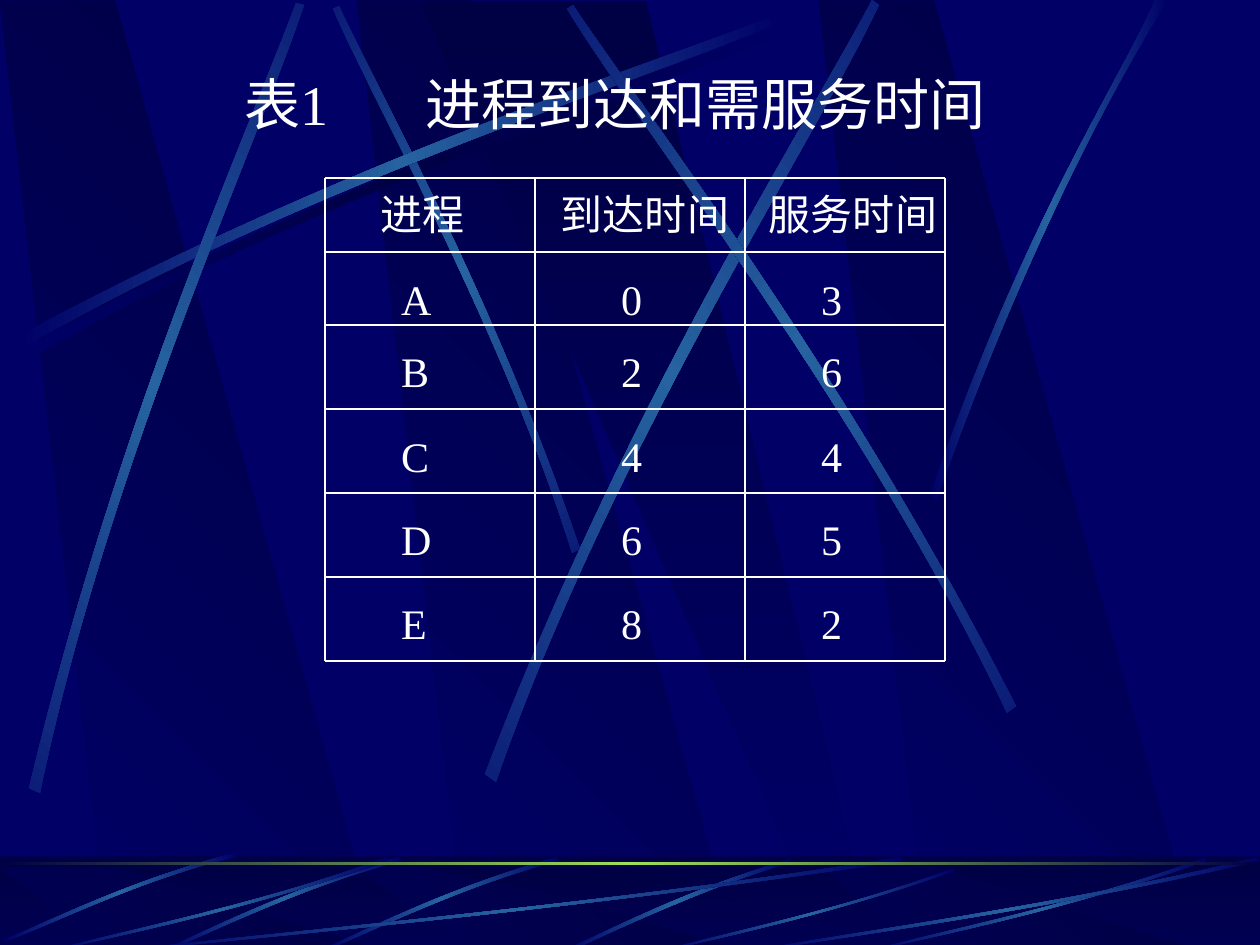
from lxml import etree
from math import cos, radians, sin

from pptx import Presentation
from pptx.dml.color import RGBColor
from pptx.enum.shapes import MSO_CONNECTOR, MSO_SHAPE
from pptx.enum.text import MSO_ANCHOR, PP_ALIGN
from pptx.oxml.ns import qn
from pptx.util import Pt

PX = 914400 / 126
NAVY = RGBColor(0x00, 0x00, 0x66)
DARK = RGBColor(0x00, 0x00, 0x44)
STEEL = RGBColor(0x26, 0x63, 0xA0)
GREEN = RGBColor(0x9C, 0xE1, 0x57)
WHITE = RGBColor(0xFF, 0xFF, 0xFF)
FONT = "Times New Roman"


def paint(shape, colors, angle):
    """Fill with evenly spaced gradient stops; the angle runs clockwise."""
    shape.shadow.inherit = False
    shape.line.fill.background()
    shape.fill.gradient()
    gradient = shape.element.spPr.find(qn("a:gradFill"))
    stops = gradient.find(qn("a:gsLst"))
    for stop in list(stops):
        stops.remove(stop)
    for index, color in enumerate(colors):
        position = 100000 * index // (len(colors) - 1)
        stop = etree.SubElement(stops, qn("a:gs"), pos=str(position))
        etree.SubElement(stop, qn("a:srgbClr"), val=str(color))
    gradient.find(qn("a:lin")).set("ang", str(angle * 60000))


def draw_outline(points, rotation=0):
    """Draw a closed outline whose points are given as seen after rotation."""
    c, s = cos(radians(rotation)), sin(radians(rotation))
    level = [(x * c + y * s, y * c - x * s) for x, y in points]
    middle_x, middle_y = [(min(axis) + max(axis)) / 2 for axis in zip(*level)]
    shift_x = middle_x * c - middle_y * s - middle_x
    shift_y = middle_x * s + middle_y * c - middle_y
    vertices = [((x + shift_x) * PX, (y + shift_y) * PX) for x, y in level]
    builder = backdrop.shapes.build_freeform(*vertices[0], scale=1.0)
    builder.add_line_segments(vertices[1:], close=True)
    shape = builder.convert_to_shape()
    shape.rotation = rotation
    return shape


presentation = Presentation()
presentation.slide_width = round(1260 * PX)
presentation.slide_height = round(945 * PX)
master = presentation.slide_master
master.background.fill.solid()
master.background.fill.fore_color.rgb = NAVY
slide = presentation.slides.add_slide(presentation.slide_layouts[5])
backdrop = slide.shapes.add_group_shape()

# Ribbons: rotation, then one edge and the returning edge as cubic curves
MAIN_RIBBONS = [
    (45, [(580, 549), (493, 295), (381, 97), (339, 6)],
     [(333, 9), (372, 100), (501, 325), (572, 553)]),
    (0, [(18, 336), (350, 158), (653, 64), (781, 13)],
     [(785, 20), (658, 77), (312, 180), (21, 349)]),
    (311.7, [(29, 788), (117, 421), (248, 132), (296, 3)],
     [(304, 5), (261, 136), (108, 464), (40, 793)]),
    (321.6, [(485, 774), (627, 403), (804, 129), (872, 0)],
     [(879, 5), (818, 136), (612, 447), (496, 782)]),
    (34.8, [(1016, 706), (844, 369), (650, 120), (573, 5)],
     [(567, 9), (639, 127), (863, 410), (1007, 713)]),
    (0, [(930, 495), (1026, 218), (1119, 83), (1155, 0)],
     [(1168, 0), (1053, 183), (969, 406), (937, 500)]),
]
SHADOW_RIBBON = (0, [(25, 347), (358, 169), (660, 74), (789, 23)],
                 [(793, 30), (665, 87), (320, 190), (29, 359)])
FOOTER_RIBBONS = [
    (0, [(790, 859), (677, 893), (601, 935), (564, 950)],
     [(571, 951), (617, 929), (719, 882), (791, 863)]),
    (0, [(557, 857), (447, 888), (362, 932), (323, 949)],
     [(324, 951), (363, 936), (460, 886), (559, 861)]),
    (0, [(399, 857), (290, 888), (204, 932), (165, 949)],
     [(166, 951), (205, 936), (302, 886), (402, 861)]),
    (0, [(234, 853), (125, 882), (42, 925), (3, 940)],
     [(4, 942), (43, 929), (139, 879), (237, 857)]),
    (0, [(903, 861), (566, 911), (260, 937), (130, 951)],
     [(126, 950), (255, 934), (605, 905), (900, 857)]),
    (0, [(388, 861), (243, 911), (111, 937), (54, 951)],
     [(53, 950), (108, 934), (260, 905), (387, 857)]),
    (0, [(955, 871), (829, 915), (714, 939), (665, 951)],
     [(664, 950), (712, 936), (843, 910), (954, 868)]),
    (0, [(1207, 861), (1062, 911), (930, 937), (873, 951)],
     [(872, 950), (927, 934), (1079, 905), (1206, 857)]),
    (0, [(1260, 861), (1042, 911), (843, 937), (759, 951)],
     [(756, 950), (839, 934), (1066, 905), (1257, 857)]),
]

# Backdrop: wall above, floor below, each with bands, a wedge and ribbons
for top, bottom, ribbons in [(1, 947, [SHADOW_RIBBON] + MAIN_RIBBONS),
                             (867, 950, FOOTER_RIBBONS)]:
    is_floor = ribbons is FOOTER_RIBBONS
    if is_floor:
        floor = backdrop.shapes.add_shape(
            MSO_SHAPE.RECTANGLE, 0, round(857 * PX), round(1260 * PX), round(94 * PX))
        paint(floor, [DARK, NAVY], 90)
    for left in (357, 0, 819):
        band = draw_outline([(left + 108, bottom), (left + 380, bottom),
                             (left + 115, top), (left, top)])
        paint(band, [NAVY, DARK], 315)
    wedge = draw_outline([(420, top), (829, bottom), (874, bottom), (646, top)])
    paint(wedge, [DARK, NAVY], 90)
    if is_floor:
        veil = backdrop.shapes.add_shape(
            MSO_SHAPE.RECTANGLE, 0, round(856 * PX), round(1260 * PX), round(94 * PX))
        veil.shadow.inherit = False
        veil.line.fill.background()
        veil.fill.solid()
        veil.fill.fore_color.rgb = DARK
        veil_color = veil.element.spPr.find(".//" + qn("a:srgbClr"))
        etree.SubElement(veil_color, qn("a:alpha"), val="50000")
    for ribbon in ribbons:
        rotation, edge, returning_edge = ribbon
        shape = draw_outline(edge + returning_edge, rotation)
        # Each edge's three line segments become one cubic curve
        segments = list(shape.element.spPr.find(".//" + qn("a:path")))
        for first in (1, 5):
            curve = etree.Element(qn("a:cubicBezTo"))
            segments[first].addprevious(curve)
            for segment in segments[first:first + 3]:
                curve.append(segment[0])
                segment.getparent().remove(segment)
        middle_color = DARK if ribbon is SHADOW_RIBBON else STEEL
        paint(shape, [NAVY, middle_color, NAVY], 0)

horizon = backdrop.shapes.add_shape(
    MSO_SHAPE.RECTANGLE, 0, round(862 * PX), round(1260 * PX), round(3 * PX))
paint(horizon, [DARK, GREEN, DARK], 0)

# The backdrop belongs to the master, with ids clear of its placeholders
for properties in backdrop.element.iter(qn("p:cNvPr")):
    properties.set("id", str(int(properties.get("id")) + 100))
master.shapes.element.append(backdrop.element)

# Title
title = slide.shapes.title
title.left, title.top, title.width, title.height = [
    round(length * PX) for length in (32, 63, 1197, 144)]
frame = title.text_frame
frame.margin_left = round(212 * PX)
frame.vertical_anchor = MSO_ANCHOR.TOP
paragraph = frame.paragraphs[0]
paragraph.text = "表1\t进程到达和需服务时间"
paragraph.alignment = PP_ALIGN.LEFT
tabs = etree.SubElement(paragraph._p.get_or_add_pPr(), qn("a:tabLst"))
etree.SubElement(tabs, qn("a:tab"), pos=str(round(181 * PX)), algn="l")
paragraph.font.name = FONT
paragraph.font.size = Pt(32)
paragraph.font.color.rgb = WHITE

# Ruled grid
COLUMN_LINES = (325, 535, 745, 945)
ROW_LINES = (178, 252, 325, 409, 493, 577, 661)
rules = [(x, ROW_LINES[0], x, ROW_LINES[-1]) for x in COLUMN_LINES]
rules += [(COLUMN_LINES[0], y, COLUMN_LINES[-1], y) for y in ROW_LINES]
for ends in rules:
    rule = slide.shapes.add_connector(
        MSO_CONNECTOR.STRAIGHT, *[round(length * PX) for length in ends])
    rule.line.color.rgb = WHITE
    rule.line.width = Pt(0.75)
    etree.SubElement(rule.element.spPr, qn("a:effectLst"))

# Arrival and service times
ROWS = [
    ("进程", "到达时间", "服务时间"),
    ("A", "0", "3"),
    ("B", "2", "6"),
    ("C", "4", "4"),
    ("D", "6", "5"),
    ("E", "8", "2"),
]
HEADER_BOXES = ((368, 136), (548, 220), (756, 220))
BODY_BOXES = ((378, 94), (598, 94), (798, 94))
for row_index, (texts, row_top) in enumerate(zip(ROWS, ROW_LINES)):
    boxes = BODY_BOXES if row_index else HEADER_BOXES
    for text, (left, width) in zip(texts, boxes):
        label = slide.shapes.add_textbox(
            *[round(length * PX) for length in (left, row_top + 11, width, 63)])
        frame = label.text_frame
        frame.word_wrap = True
        frame.margin_left = round((23 if row_index else 13) * PX)
        frame.margin_top = round((10 if row_index else 0) * PX)
        frame.margin_bottom = 0
        paragraph = frame.paragraphs[0]
        paragraph.text = text
        paragraph.font.name = FONT
        paragraph.font.size = Pt(24)
        paragraph.font.color.rgb = WHITE

presentation.save("out.pptx")
